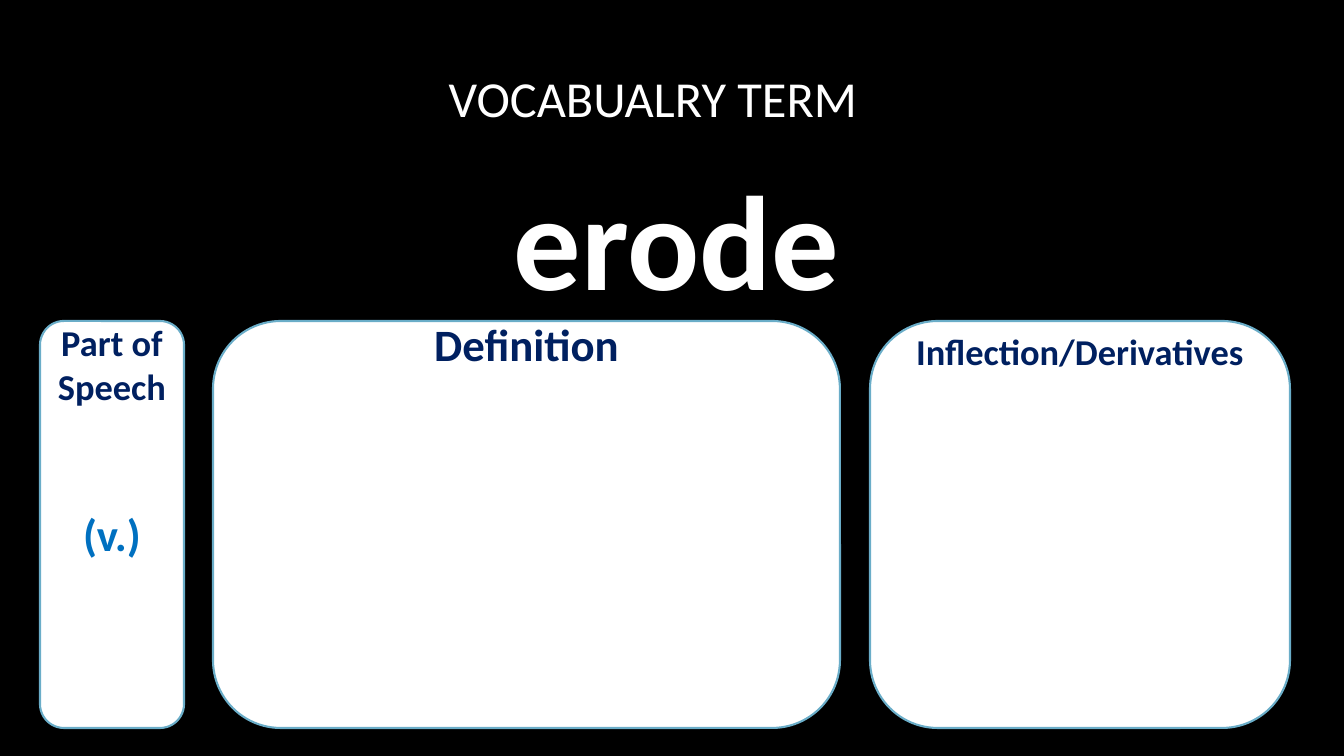
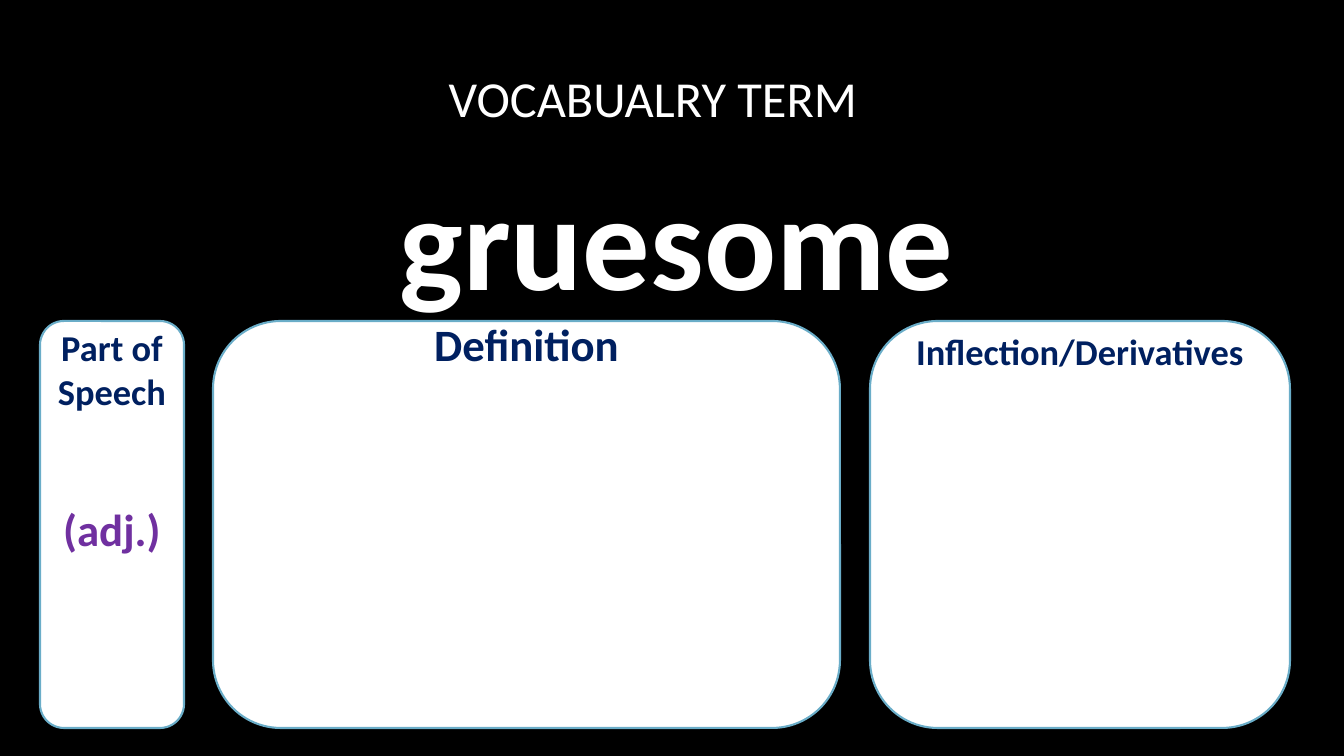
import pptx
import pptx.util
import pptx.dml.color
import pptx.enum.shapes
import pptx.enum.text

PX = 9071.43
FONT = "Calibri"
HUES = {
    "back": "000000",
    "card": "FFFFFF",
    "edge": "6AADC8",
    "term": "FFFFFF",
    "head": "002060",
    "verb": "0070C0",
    "adj": "7030A0",
}


def emu(px):
    return pptx.util.Emu(round(px * PX))


def hue(name):
    return pptx.dml.color.RGBColor.from_string(HUES[name])


class Deck:
    def __init__(self):
        self.file = pptx.Presentation()
        self.file.slide_width = emu(1344)
        self.file.slide_height = emu(756)
        self.slide = None

    def page(self):
        self.slide = self.file.slides.add_slide(self.file.slide_layouts[6])
        fill = self.slide.background.fill
        fill.solid()
        fill.fore_color.rgb = hue("back")

    def card(self, left, top, width, height):
        shape = self.slide.shapes.add_shape(
            pptx.enum.shapes.MSO_SHAPE.ROUNDED_RECTANGLE,
            emu(left), emu(top), emu(width), emu(height))
        shape.shadow.inherit = False
        shape.fill.solid()
        shape.fill.fore_color.rgb = hue("card")
        shape.line.color.rgb = hue("edge")
        shape.line.width = pptx.util.Pt(1.5)

    def text(self, left, top, width, height, lines, mid=False):
        box = self.slide.shapes.add_textbox(
            emu(left), emu(top), emu(width), emu(height))
        frame = box.text_frame
        frame.word_wrap = True
        frame.margin_left = frame.margin_right = 0
        frame.margin_top = frame.margin_bottom = 0
        anchor = pptx.enum.text.MSO_ANCHOR
        frame.vertical_anchor = anchor.MIDDLE if mid else anchor.TOP
        for at, (words, size, tint, bold, gap) in enumerate(lines):
            para = frame.add_paragraph() if at else frame.paragraphs[0]
            para.alignment = pptx.enum.text.PP_ALIGN.CENTER
            if gap:
                para.space_before = pptx.util.Pt(gap)
            run = para.add_run()
            run.text = words
            run.font.name = FONT
            run.font.size = pptx.util.Pt(size)
            run.font.bold = bold
            run.font.color.rgb = hue(tint)

    def term(self, word, part, tint, top, gap):
        self.page()
        self.text(96, 49, 1114, 97, [("VOCABUALRY TERM", 36, "term", False, 0)], True)
        self.text(118, 148, 1117, 177, [(word, 96, "term", True, 0)], True)
        cards = [
            (40, 144, top, [("Part of Speech", 26, "head", True, 0),
                            (part, 32, tint, True, gap)]),
            (213, 627, 317, [("Definition", 32, "head", True, 0)]),
            (870, 420, 329, [("Inflection/Derivatives", 26, "head", True, 0)]),
        ]
        for left, width, line, lines in cards:
            self.card(left, 321, width, 407)
            self.text(left, line, width, 728 - line, lines)


def main():
    deck = Deck()
    deck.term("erode", "(v.)", "verb", 320, 71)
    deck.term("gruesome", "(adj.)", "adj", 325, 64)
    deck.file.save("out.pptx")


if __name__ == "__main__":
    main()
